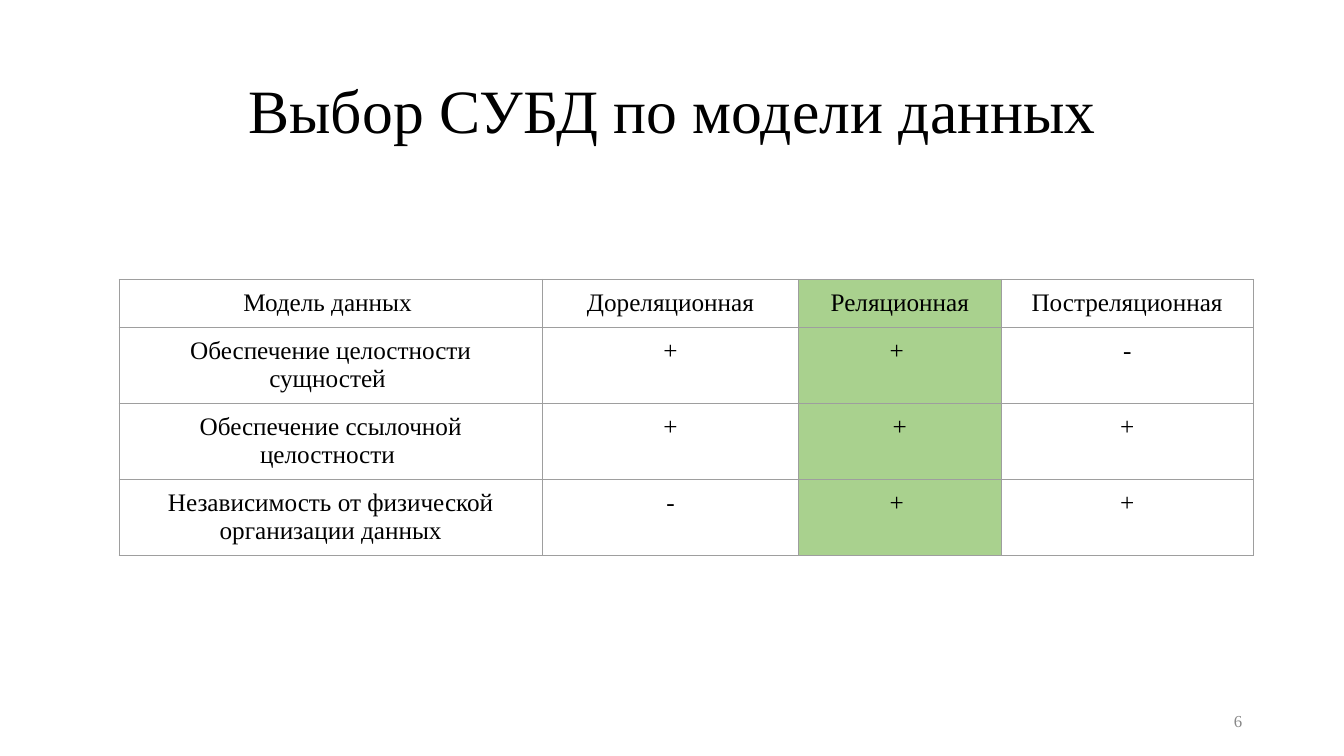
import pptx
import pptx.util
import pptx.dml.color
import pptx.enum.text
import pptx.oxml
import pptx.oxml.ns

Inches, Pt = pptx.util.Inches, pptx.util.Pt
RGBColor = pptx.dml.color.RGBColor
PP_ALIGN = pptx.enum.text.PP_ALIGN
MSO_ANCHOR = pptx.enum.text.MSO_ANCHOR

BLACK = RGBColor(0x00, 0x00, 0x00)
GRAY = RGBColor(0x88, 0x88, 0x88)
BORDER = RGBColor(0x9E, 0x9E, 0x9E)
GREEN = RGBColor(0xA9, 0xD1, 0x8E)

FONT = "Times New Roman"
SLIDE_W, SLIDE_H = 13.33, 7.5
COL_WIDTHS = [4.2, 2.54, 2.01, 2.5]
ROW_HEIGHT = 0.42
CHOSEN_COL = 2

MODELS = [
    ["Модель данных ", "Дореляционная", "Реляционная", "Постреляционная"],
    ["Обеспечение целостности сущностей ", "+", "+ ", "-"],
    ["Обеспечение ссылочной целостности ", "+", "+", "+"],
    ["Независимость от физической организации данных", "-", "+ ", "+"],
]


def write(tf, text, size=18, color=BLACK, align=PP_ALIGN.CENTER, spacing=None):
    p = tf.paragraphs[0]
    p.alignment = align
    if spacing:
        p.line_spacing = spacing
    r = p.add_run()
    r.text = text
    r.font.name = FONT
    r.font.size = Pt(size)
    r.font.color.rgb = color


def add_text(slide, x, y, w, h, text, **fmt):
    sp = slide.shapes.add_textbox(Inches(x), Inches(y), Inches(w), Inches(h))
    tf = sp.text_frame
    tf.word_wrap = True
    tf.vertical_anchor = MSO_ANCHOR.MIDDLE
    write(tf, text, **fmt)


def set_borders(cell, color, width):
    tcPr = cell._tc.get_or_add_tcPr()
    for side in ("lnL", "lnR", "lnT", "lnB"):
        tcPr.append(pptx.oxml.parse_xml(
            f'<a:{side} {pptx.oxml.ns.nsdecls("a")} w="{Pt(width)}">'
            f'<a:solidFill><a:srgbClr val="{color}"/></a:solidFill></a:{side}>'))


def fill_cell(cell, text, color=None):
    cell.margin_left = cell.margin_right = Inches(0.1)
    cell.margin_top = cell.margin_bottom = Inches(0.1)
    set_borders(cell, BORDER, 0.75)
    if color is None:
        cell.fill.background()
    else:
        cell.fill.solid()
        cell.fill.fore_color.rgb = color
    write(cell.text_frame, text)


def add_grid(slide, x, y, rows, widths, row_height, chosen):
    table = slide.shapes.add_table(
        len(rows), len(widths), Inches(x), Inches(y),
        Inches(sum(widths)), Inches(row_height * len(rows))).table
    table.first_row = table.horz_banding = False
    for col, width in zip(table.columns, widths):
        col.width = Inches(width)
    for i, row in enumerate(rows):
        table.rows[i].height = Inches(row_height)
        for j, text in enumerate(row):
            fill_cell(table.cell(i, j), text, GREEN if j == chosen else None)


def main():
    prs = pptx.Presentation()
    prs.slide_width, prs.slide_height = Inches(SLIDE_W), Inches(SLIDE_H)
    slide = prs.slides.add_slide(prs.slide_layouts[6])

    # Comparison of data models
    add_grid(slide, 1.18, 2.77, MODELS, COL_WIDTHS, ROW_HEIGHT, CHOSEN_COL)

    # Title
    add_text(slide, 0.92, 0.4, 11.5, 1.45, "Выбор СУБД по модели данных",
             size=44, spacing=0.9)

    # Slide number
    add_text(slide, 9.42, 6.95, 3, 0.4, "6",
             size=12, color=GRAY, align=PP_ALIGN.RIGHT)

    prs.save("out.pptx")


if __name__ == "__main__":
    main()
